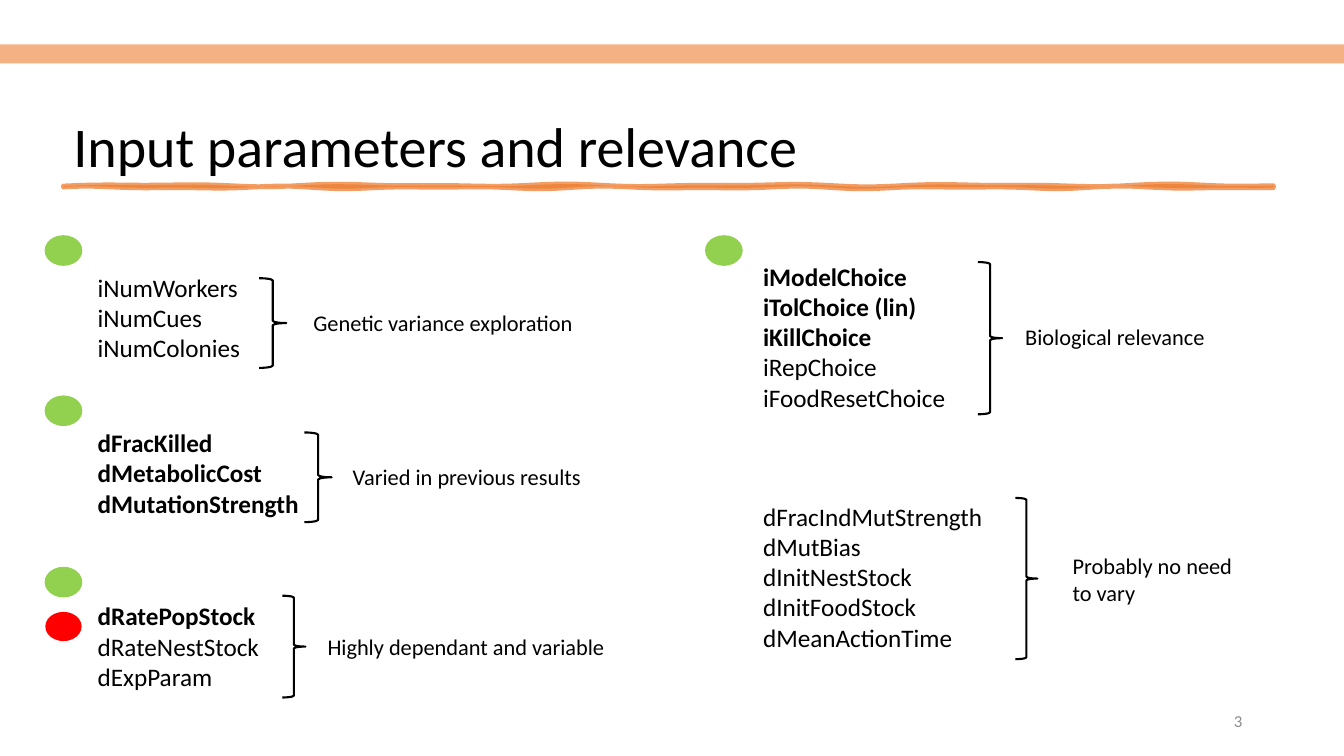
from dataclasses import dataclass
from math import sin

from lxml import etree
from pptx import Presentation
from pptx.dml.color import RGBColor
from pptx.enum.shapes import MSO_SHAPE
from pptx.enum.text import MSO_ANCHOR, PP_ALIGN
from pptx.oxml.ns import qn
from pptx.util import Inches, Pt

RECTANGLE, OVAL, BRACE = MSO_SHAPE.RECTANGLE, MSO_SHAPE.OVAL, MSO_SHAPE.RIGHT_BRACE
TOP, MIDDLE, BOTTOM = MSO_ANCHOR.TOP, MSO_ANCHOR.MIDDLE, MSO_ANCHOR.BOTTOM
LEFT, RIGHT = PP_ALIGN.LEFT, PP_ALIGN.RIGHT


@dataclass(frozen=True)
class Theme:
    font: str = "Calibri"
    ink: str = "000000"
    muted: str = "8C8C8C"
    band: str = "F4B183"
    stroke: str = "ED7D31"
    green: str = "92D050"
    red: str = "FF0000"
    title_size: int = 40
    parameter_size: int = 18
    label_size: int = 16
    number_size: int = 12


THEME = Theme()
LEFT_COLUMN, RIGHT_COLUMN = 0.87, 7.47

# Each group: bold parameters, plain parameters, text box, brace box, label, label box
GROUPS = [
    ([], ["iNumWorkers", "iNumCues", "iNumColonies"],
     (LEFT_COLUMN, 2.65, 5.5, 1.01), (2.57, 2.76, 0.27, 0.89),
     "Genetic variance exploration", (3.01, 3.02, 2.81, 0.37)),
    (["dFracKilled", "dMetabolicCost", "dMutationStrength"], [],
     (LEFT_COLUMN, 4.19, 5.5, 1.01), (3.02, 4.29, 0.27, 0.89),
     "Varied in previous results", (3.4, 4.55, 2.49, 0.37)),
    (["dRatePopStock"], ["dRateNestStock\ndExpParam"],
     (LEFT_COLUMN, 5.91, 5.5, 1.01), (2.8, 5.91, 0.23, 1.01),
     "Highly dependant and variable", (3.15, 6.23, 2.98, 0.37)),
    (["iModelChoice", "iTolChoice (lin)", "iKillChoice"], ["iRepChoice", "iFoodResetChoice"],
     (RIGHT_COLUMN, 2.54, 5.5, 1.62), (9.7, 2.6, 0.24, 1.51),
     "Biological relevance", (10.07, 3.16, 2, 0.37)),
    ([], ["dFracIndMutStrength", "dMutBias", "dInitNestStock", "dInitFoodStock",
          "dMeanActionTime"],
     (RIGHT_COLUMN, 4.92, 5.5, 1.62), (10.07, 4.94, 0.22, 1.6),
     "Probably no need\nto vary", (10.54, 5.43, 1.8, 0.64)),
]

STATUS_DOTS = [
    (0.45, 2.34, THEME.green),
    (0.45, 3.93, THEME.green),
    (0.45, 5.63, THEME.green),
    (0.45, 6.07, THEME.red),
    (7, 2.34, THEME.green),
]


def inches(box):
    return [Inches(length) for length in box]


def add_text(slide, box, lines, size, color=THEME.ink, bold_count=0,
             anchor=TOP, align=LEFT, wrap=True, spacing=1.0):
    """Add one paragraph per line; the first bold_count lines are bold."""
    frame = slide.shapes.add_textbox(*inches(box)).text_frame
    frame.word_wrap = wrap
    frame.vertical_anchor = anchor
    for index, line in enumerate(lines):
        paragraph = frame.add_paragraph() if index else frame.paragraphs[0]
        paragraph.text = line
        paragraph.alignment = align
        paragraph.line_spacing = spacing
        paragraph.font.name = THEME.font
        paragraph.font.size = Pt(size)
        paragraph.font.bold = index < bold_count
        paragraph.font.color.rgb = RGBColor.from_string(color)


def style(shape, fill=None, line=None, line_width=1.0):
    shape.shadow.inherit = False
    if fill:
        shape.fill.solid()
        shape.fill.fore_color.rgb = RGBColor.from_string(fill)
    else:
        shape.fill.background()
    if line:
        shape.line.color.rgb = RGBColor.from_string(line)
        shape.line.width = Pt(line_width)
    else:
        shape.line.fill.background()


def add_preset(slide, preset, box, **look):
    style(slide.shapes.add_shape(preset, *inches(box)), **look)


def add_brush_stroke(slide, left, top, width, thickness):
    """Draw a long, slightly wavy, translucent band under the title."""
    steps = 120
    xs = [left + width * step / steps for step in range(steps + 1)]
    upper = [(x, top + 0.008 * sin(3.1 * x) + 0.006 * sin(5.3 * x)) for x in xs]
    lower = [(x, top + thickness + 0.008 * sin(3.7 * x + 1) + 0.006 * sin(6.1 * x))
             for x in reversed(xs)]
    points = [(Inches(x), Inches(y)) for x, y in upper + lower]
    builder = slide.shapes.build_freeform(*points[0])
    builder.add_line_segments(points[1:], close=True)
    stroke = builder.convert_to_shape()
    style(stroke, fill=THEME.stroke, line=THEME.stroke, line_width=3.5)
    properties = stroke.element.spPr
    for color in properties.iter(qn("a:srgbClr")):
        etree.SubElement(color, qn("a:alpha")).set("val", "75000")
    etree.SubElement(properties.find(qn("a:ln")), qn("a:round"))


def add_group(slide, bold, plain, text_box, brace_box, label, label_box):
    add_text(slide, text_box, bold + plain, THEME.parameter_size, bold_count=len(bold))
    add_preset(slide, BRACE, brace_box, line=THEME.ink, line_width=1.5)
    add_text(slide, label_box, [label], THEME.label_size, wrap=False)


def main():
    deck = Presentation()
    deck.slide_width, deck.slide_height = Inches(13.33), Inches(7.5)
    slide = deck.slides.add_slide(deck.slide_layouts[6])

    add_text(slide, (0.63, 0.26, 12.05, 1.57), ["Input parameters and relevance"],
             THEME.title_size, anchor=BOTTOM, spacing=0.9)
    add_brush_stroke(slide, 0.63, 1.84, 12, 0.02)
    add_text(slide, (9.42, 6.95, 3, 0.4), ["3"], THEME.number_size,
             color=THEME.muted, anchor=MIDDLE, align=RIGHT)
    add_preset(slide, RECTANGLE, (0, 0.44, 13.33, 0.19), fill=THEME.band)

    for group in GROUPS:
        add_group(slide, *group)
    for left, top, color in STATUS_DOTS:
        outline = color if color == THEME.green else None
        add_preset(slide, OVAL, (left, top, 0.36, 0.29), fill=color, line=outline)

    deck.save("out.pptx")


if __name__ == "__main__":
    main()
